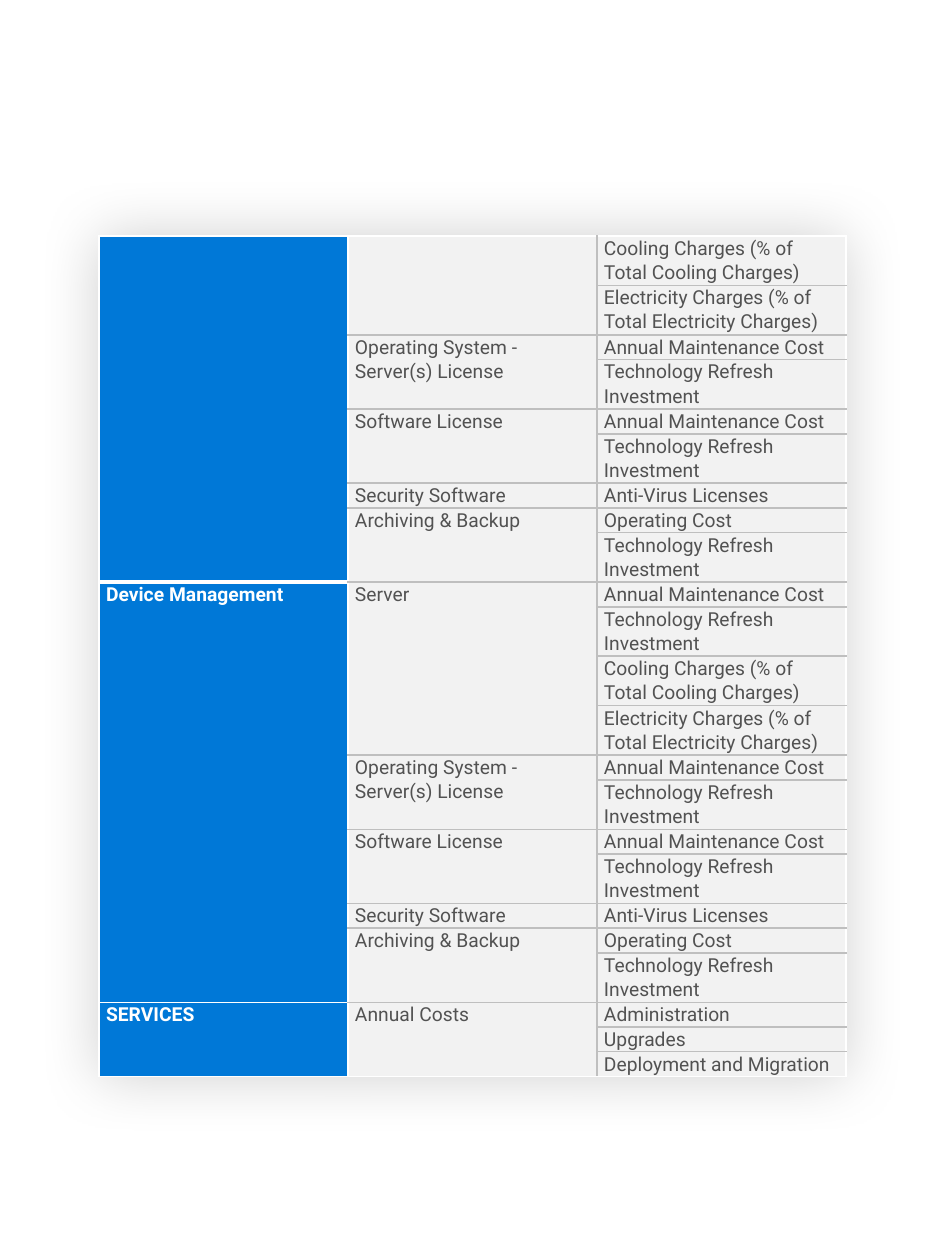
from dataclasses import dataclass

from lxml import etree
from pptx import Presentation
from pptx.dml.color import RGBColor
from pptx.oxml.ns import qn
from pptx.util import Emu, Pt

EMU_PER_PX = 914400 / 126


@dataclass(frozen=True)
class Theme:
    font: str = "Roboto"
    size: int = 11
    line_spacing: float = 1.07
    blue: str = "0078D7"
    pale: str = "F2F2F2"
    text: str = "525252"
    rule: str = "BFBFBF"
    white: str = "FFFFFF"
    shadow: str = "000000"


@dataclass(frozen=True)
class Category:
    label: str
    costs: tuple[str, ...]


@dataclass(frozen=True)
class Group:
    label: str
    categories: tuple[Category, ...]
    rule_below: int = 1

    def costs(self) -> list[str]:
        return [cost for category in self.categories for cost in category.costs]


@dataclass(frozen=True)
class ColumnStyle:
    fill: str
    text: str
    bold: bool
    left: str
    right: str
    rule: str


THEME = Theme()
GROUP_STYLE = ColumnStyle(THEME.blue, THEME.white, True, THEME.white, THEME.white, THEME.white)
CATEGORY_STYLE = ColumnStyle(THEME.pale, THEME.text, False, THEME.white, THEME.rule, THEME.rule)
COST_STYLE = ColumnStyle(THEME.pale, THEME.text, False, THEME.rule, THEME.white, THEME.rule)
COLUMN_STYLES = (GROUP_STYLE, CATEGORY_STYLE, COST_STYLE)

# Table content
REFRESH = "Technology Refresh Investment"
MAINTENANCE = ("Annual Maintenance Cost", REFRESH)
UTILITIES = (
    "Cooling Charges (% of Total Cooling Charges)",
    "Electricity Charges (% of Total Electricity Charges)",
)
SOFTWARE = (
    Category("Operating System - Server(s) License", MAINTENANCE),
    Category("Software License", MAINTENANCE),
    Category("Security Software", ("Anti-Virus Licenses",)),
    Category("Archiving & Backup", ("Operating Cost", REFRESH)),
)
GROUPS = (
    Group("", (Category("", UTILITIES), *SOFTWARE), rule_below=3),
    Group("Device Management", (Category("Server", MAINTENANCE + UTILITIES), *SOFTWARE)),
    Group("SERVICES", (
        Category("Annual Costs", ("Administration", "Upgrades", "Deployment and Migration")),
    )),
)

# Table geometry in px; rows share the height by their number of text lines
LEFT, TOP, COLUMN_WIDTH, TABLE_HEIGHT = 99, 236, 249, 841
INSET = 7
MAX_LINE_CHARS = 24


def line_count(cost: str) -> int:
    return 2 if len(cost) > MAX_LINE_CHARS else 1


COSTS = [cost for group in GROUPS for cost in group.costs()]
ROW_COUNT = len(COSTS)
TOTAL_LINES = sum(line_count(cost) for cost in COSTS)


def px(length: int) -> Emu:
    return Emu(round(length * EMU_PER_PX))


def add_color(parent, color: str):
    return etree.SubElement(parent, qn("a:srgbClr"), val=color)


def set_borders(cell, borders: dict[str, tuple[str, int]]) -> None:
    """Borders go before the fill, in the order left, right, top, bottom."""
    properties = cell._tc.get_or_add_tcPr()
    for position, (side, (color, width)) in enumerate(borders.items()):
        line = etree.Element(qn(f"a:ln{side}"), w=str(Pt(width)))
        add_color(etree.SubElement(line, qn("a:solidFill")), color)
        properties.insert(position, line)


def prepare_cell(cell, style: ColumnStyle) -> None:
    cell.fill.solid()
    cell.fill.fore_color.rgb = RGBColor.from_string(style.fill)
    cell.margin_left = cell.margin_right = px(INSET)
    cell.margin_top = cell.margin_bottom = 0
    paragraph = cell.text_frame.paragraphs[0]
    paragraph.line_spacing = THEME.line_spacing
    etree.SubElement(paragraph._p, qn("a:endParaRPr"), sz=str(THEME.size * 100))


def fill_cell(table, row: int, column: int, span: int, label: str, rule_below: int = 1) -> None:
    style = COLUMN_STYLES[column]
    cell = table.cell(row, column)
    if span > 1:
        cell.merge(table.cell(row + span - 1, column))
    if label:
        run = cell.text_frame.paragraphs[0].add_run()
        run.text = label
        run.font.name = THEME.font
        run.font.size = Pt(THEME.size)
        run.font.bold = style.bold
        run.font.color.rgb = RGBColor.from_string(style.text)
    top = THEME.white if row == 0 else style.rule
    bottom = THEME.white if row + span == ROW_COUNT else style.rule
    set_borders(cell, {
        "L": (style.left, 1),
        "R": (style.right, 1),
        "T": (top, 1),
        "B": (bottom, rule_below),
    })


def add_soft_shadow(table) -> None:
    effects = etree.Element(qn("a:effectLst"))
    shadow = etree.SubElement(
        effects, qn("a:outerShdw"), blurRad=str(Pt(35)), dist="0", algn="ctr", rotWithShape="0"
    )
    etree.SubElement(add_color(shadow, THEME.shadow), qn("a:alpha"), val="18000")
    table._tbl.tblPr.insert(0, effects)


def add_cost_table(slide) -> None:
    column_count = len(COLUMN_STYLES)
    table = slide.shapes.add_table(
        ROW_COUNT, column_count, px(LEFT), px(TOP),
        px(COLUMN_WIDTH * column_count), px(TABLE_HEIGHT),
    ).table
    table.first_row = table.horz_banding = False
    add_soft_shadow(table)
    for row, cost in zip(table.rows, COSTS):
        row.height = px(TABLE_HEIGHT) * line_count(cost) // TOTAL_LINES
        for cell, style in zip(row.cells, COLUMN_STYLES):
            prepare_cell(cell, style)

    # Groups span categories, which span costs
    row_index = 0
    for group in GROUPS:
        fill_cell(table, row_index, 0, len(group.costs()), group.label, group.rule_below)
        for category in group.categories:
            fill_cell(table, row_index, 1, len(category.costs), category.label)
            for cost in category.costs:
                fill_cell(table, row_index, 2, 1, cost)
                row_index += 1


def main() -> None:
    presentation = Presentation()
    presentation.slide_width, presentation.slide_height = px(945), px(1260)
    slide = presentation.slides.add_slide(presentation.slide_layouts[6])
    add_cost_table(slide)
    presentation.save("out.pptx")


if __name__ == "__main__":
    main()
